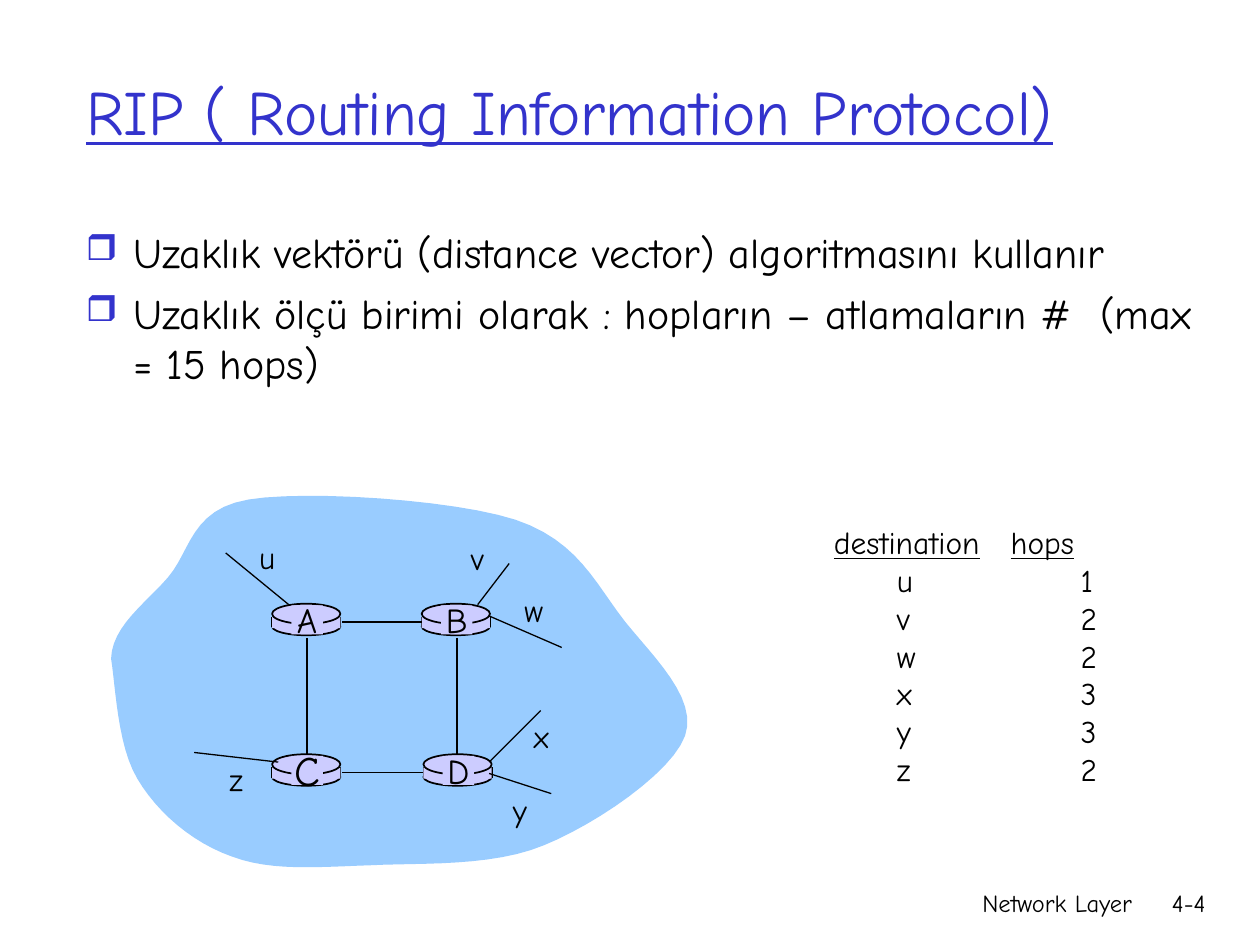
from lxml.etree import SubElement
from pptx import Presentation
from pptx.dml.color import RGBColor
from pptx.enum.shapes import MSO_CONNECTOR, MSO_SHAPE
from pptx.enum.text import MSO_ANCHOR, MSO_AUTO_SIZE, PP_ALIGN
from pptx.oxml.ns import qn
from pptx.util import Pt

FONT = "Comic Neue"
BLACK = RGBColor(0x00, 0x00, 0x00)
BLUE = RGBColor(0x33, 0x33, 0xCC)
SKY = RGBColor(0x99, 0xCC, 0xFF)
LILAC = RGBColor(0xCC, 0xCC, 0xFF)

TITLE = "RIP ( Routing Information Protocol)"
BULLETS = [
    "Uzaklık vektörü (distance vector) algoritmasını kullanır",
    "Uzaklık ölçü birimi olarak : hopların – atlamaların #  (max = 15 hops)",
]
HOPS = [("u", 1), ("v", 2), ("w", 2), ("x", 3), ("y", 3), ("z", 2)]
FOOTERS = [("Network Layer", 426, 228), ("4-4", 643, 53)]  # text, left, width

# router: left, top, label size
ROUTERS = {
    "A": (155.5, 345, 20),
    "B": (241, 345, 20),
    "C": (155.5, 431, 24),
    "D": (242, 431, 20),
}
ROUTER_W = 39
ACROSS = [("A", "B"), ("C", "D")]
DOWN = [("A", "C"), ("B", "D")]
# subnet: line start, line end, label left and top
SUBNETS = {
    "u": ((165, 345.5), (129, 316), (141, 304)),
    "v": ((273, 345.5), (291, 322), (262, 304.5)),
    "w": ((279.5, 352), (321, 370), (292.5, 334)),
    "x": ((279.5, 435.5), (309, 406), (298, 406)),
    "y": ((279.5, 442), (315, 453.5), (286, 448.5)),
    "z": ((159, 435.5), (111, 430), (124, 430.5)),
}
# cloud outline: start, then Bezier segments (two controls and an end)
CLOUD_START = (63.5, 376.5)
CLOUD = [
    ((64, 358), (83, 345), (96, 330)),
    ((109, 315), (109, 291), (142, 285.5)),
    ((175, 280), (259, 285.5), (294.5, 297)),
    ((330.5, 309), (340.5, 334), (357, 355)),
    ((373, 375), (399, 399), (391.5, 420.5)),
    ((384, 441.5), (340.5, 471), (311, 483)),
    ((281, 495.5), (241, 493), (211.5, 494.5)),
    ((181.5, 495.5), (155, 498), (132.5, 489.5)),
    ((110, 481.5), (90, 464.5), (78.5, 445)),
    ((67, 426), (66, 391), CLOUD_START),
]


def add_text(s, lines, x, y, w, h, size, wrap=False, align=PP_ALIGN.LEFT):
    tf = s.shapes.add_textbox(Pt(x), Pt(y), Pt(w), Pt(h)).text_frame
    tf.word_wrap = wrap
    tf.text = "\n".join(lines)
    for p in tf.paragraphs:
        p.alignment = align
        style(p, size)
    return tf


def style(p, size, color=BLACK):
    for r in p.runs:
        r.font.name, r.font.size = FONT, Pt(size)
        r.font.color.rgb = color


def add_bullet(p):
    p.space_before = Pt(6)
    pPr = p._p.get_or_add_pPr()
    pPr.set("marL", str(Pt(27)))
    pPr.set("indent", str(Pt(-27)))
    SubElement(SubElement(pPr, qn("a:buClr")), qn("a:srgbClr"), val=str(BLUE))
    SubElement(pPr, qn("a:buSzPct"), val="85000")
    SubElement(pPr, qn("a:buChar"), char="❒")


def set_tabs(p, stops):
    tabs = SubElement(p._p.get_or_add_pPr(), qn("a:tabLst"))
    for stop in stops:
        SubElement(tabs, qn("a:tab"), pos=str(Pt(stop)), algn="l")


def add_line(s, start, end, width=1):
    c = s.shapes.add_connector(
        MSO_CONNECTOR.STRAIGHT, *(Pt(v) for v in (*start, *end)))
    c.line.color.rgb = BLACK
    c.line.width = Pt(width)
    SubElement(c._element.spPr, qn("a:effectLst"))


def add_shape(s, kind, x, y, w, h, outlined=True):
    sp = s.shapes.add_shape(kind, Pt(x), Pt(y), Pt(w), Pt(h))
    finish(sp, LILAC, outlined)


def finish(sp, color, outlined=False):
    sp.shadow.inherit = False
    sp.fill.solid()
    sp.fill.fore_color.rgb = color
    if outlined:
        sp.line.color.rgb = BLACK
        sp.line.width = Pt(1)
    else:
        sp.line.fill.background()


def add_cloud(s, steps=12):
    points, p0 = [], CLOUD_START
    for p1, p2, p3 in CLOUD:
        for t in (i / steps for i in range(1, steps + 1)):
            u = 1 - t
            points.append(tuple(
                Pt(u**3 * a + 3 * u * u * t * b + 3 * u * t * t * c + t**3 * d)
                for a, b, c, d in zip(p0, p1, p2, p3)))
        p0 = p3
    fb = s.shapes.build_freeform(*(Pt(v) for v in CLOUD_START))
    fb.add_line_segments(points, close=True)
    finish(fb.convert_to_shape(), SKY)


def add_router(s, x, y):
    """Draw a flat cylinder: base, sides, body and lid."""
    add_shape(s, MSO_SHAPE.OVAL, x, y + 8, ROUTER_W, 10)
    for side in (x, x + ROUTER_W):
        add_line(s, (side, y + 7.5), (side, y + 13.5))
    add_shape(s, MSO_SHAPE.RECTANGLE, x, y + 7.5, ROUTER_W, 6.5, False)
    add_shape(s, MSO_SHAPE.OVAL, x, y, ROUTER_W, 11.5)


def add_router_label(s, name, x, y, size):
    add_shape(s, MSO_SHAPE.RECTANGLE, x + 11, y + 1, 18, 16.5, False)
    tf = add_text(s, [name], x + 5, y - 7, 30, 32, size, align=PP_ALIGN.CENTER)
    tf.vertical_anchor = MSO_ANCHOR.MIDDLE


def add_hop_list(s):
    rows = ["destination"] + [f"\t{name}\t{hops}" for name, hops in HOPS]
    header, *body = add_text(s, rows, 469.5, 295.5, 200, 180, 18, wrap=True).paragraphs
    for text in ("\t", "hops"):
        header.add_run().text = text
    style(header, 18)
    for r in header.runs[::2]:
        r.font.underline = True
    set_tabs(header, [101])
    for p in body:
        set_tabs(p, [36, 141])


def main():
    prs = Presentation()
    prs.slide_width, prs.slide_height = Pt(720), Pt(540)
    s = prs.slides.add_slide(prs.slide_layouts[5])

    title = s.shapes.title
    title.left, title.top, title.width, title.height = Pt(42), Pt(18), Pt(644), Pt(90)
    tf = title.text_frame
    tf.text = TITLE
    tf.auto_size = MSO_AUTO_SIZE.NONE
    tf.vertical_anchor = MSO_ANCHOR.MIDDLE
    p = tf.paragraphs[0]
    p.alignment = PP_ALIGN.LEFT
    style(p, 36, BLUE)
    p.runs[0].font.underline = True

    for p in add_text(s, BULLETS, 42, 126, 648, 133, 24, wrap=True).paragraphs:
        add_bullet(p)
    for text, x, w in FOOTERS:
        add_text(s, [text], x, 504, w, 36, 14, wrap=True, align=PP_ALIGN.RIGHT)

    add_cloud(s)
    for x, y, _ in ROUTERS.values():
        add_router(s, x, y)
    for a, b in ACROSS:
        (ax, ay, _), (bx, _, _) = ROUTERS[a], ROUTERS[b]
        add_line(s, (ax + ROUTER_W + 1, ay + 10.5), (bx, ay + 10.5))
    for a, b in DOWN:
        (ax, ay, _), (_, by, _) = ROUTERS[a], ROUTERS[b]
        add_line(s, (ax + 20, ay + 19.5), (ax + 20, by))
    for name, (x, y, size) in ROUTERS.items():
        add_router_label(s, name, x, y, size)
    for name, (start, end, label) in SUBNETS.items():
        add_line(s, start, end, 0.75)
        add_text(s, [name], *label, 24, 29, 18)
    add_hop_list(s)

    prs.save("out.pptx")


if __name__ == "__main__":
    main()
